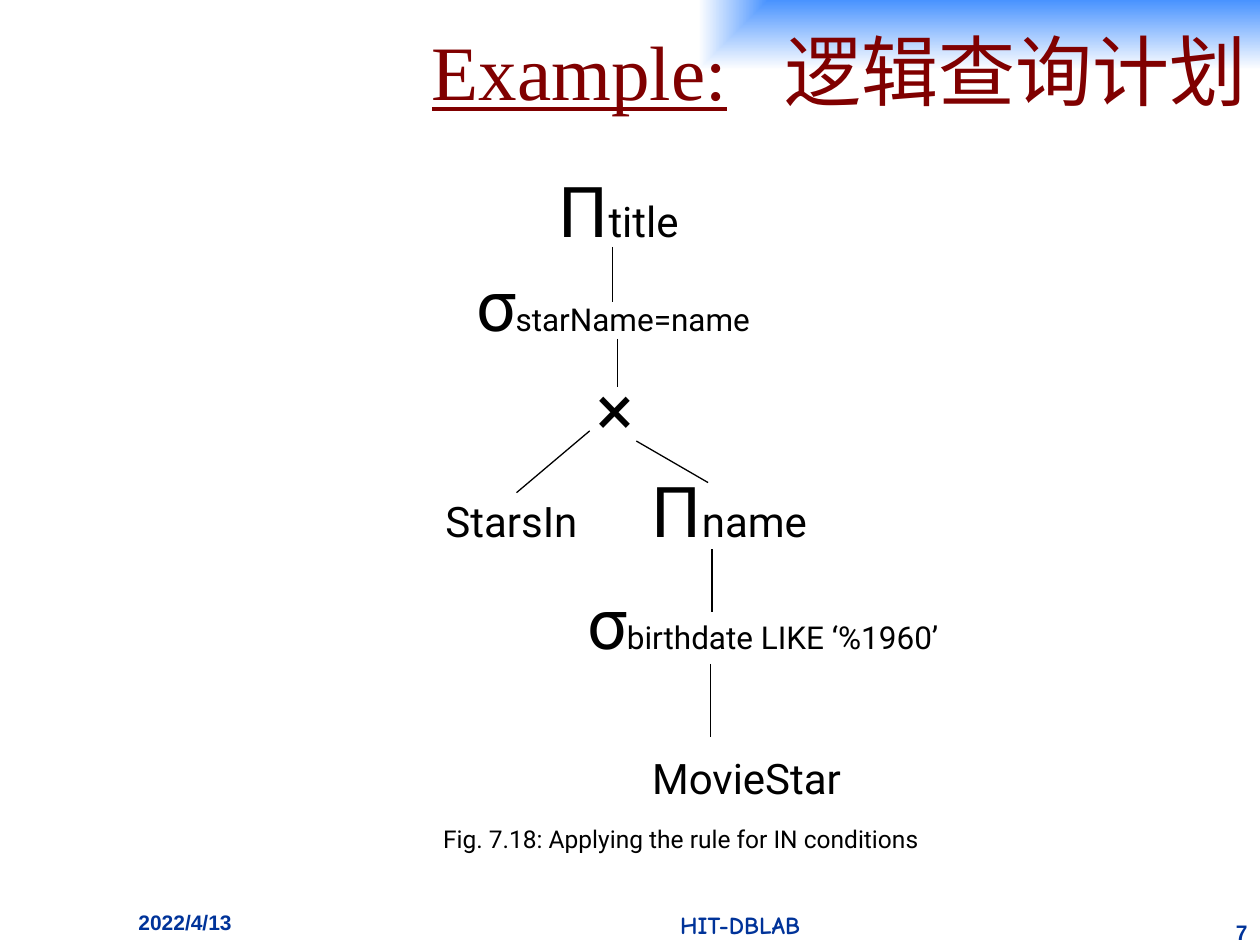
from dataclasses import dataclass

from lxml import etree
from pptx import Presentation
from pptx.dml.color import RGBColor
from pptx.enum import shapes, text
from pptx.oxml import parse_xml
from pptx.oxml.ns import nsdecls, qn
from pptx.util import Inches, Pt

BLACK = RGBColor(0x00, 0x00, 0x00)
NAVY = RGBColor(0x00, 0x33, 0x99)
MAROON = RGBColor(0x80, 0x00, 0x00)
BODY_FONT = "Roboto"
TITLE_FONT = "Times New Roman"
LEFT, CENTER, RIGHT = text.PP_ALIGN.LEFT, text.PP_ALIGN.CENTER, text.PP_ALIGN.RIGHT
TOP, MIDDLE = text.MSO_ANCHOR.TOP, text.MSO_ANCHOR.MIDDLE


@dataclass
class Node:
    left: float
    top: float
    width: float
    height: float
    symbol: str = ""
    label: str = ""
    label_size: int = 24


@dataclass
class Edge:
    x1: float
    y1: float
    x2: float
    y2: float


@dataclass
class Caption:
    left: float
    top: float
    width: float
    height: float
    words: str
    size: int
    font: str
    color: RGBColor = NAVY
    bold: bool = True
    align: text.PP_ALIGN = CENTER
    anchor: text.MSO_ANCHOR = TOP


NODES = [
    Node(4.32, 1.28, 1.18, 0.77, "Π", "title"),
    Node(3.67, 2.02, 2.39, 0.77, "σ", "starName=name", 18),
    Node(4.63, 2.85, 0.51, 0.77, "×"),
    Node(3.26, 3.88, 1.6, 0.5, label="StarsIn"),
    Node(4.89, 3.66, 1.8, 0.77, "Π", "name"),
    Node(4.51, 4.55, 3.09, 0.77, "σ", "birthdate LIKE ‘%1960’", 18),
    Node(5.05, 5.92, 1.75, 0.5, label="MovieStar"),
]

EDGES = [
    Edge(4.86, 1.96, 4.86, 2.4),
    Edge(4.9, 2.69, 4.9, 3.07),
    Edge(4.68, 3.42, 4.1, 3.91),
    Edge(5.05, 3.5, 5.62, 3.83),
    Edge(5.65, 4.36, 5.65, 4.86),
    Edge(5.64, 5.27, 5.64, 5.85),
]

CAPTIONS = [
    Caption(1.8, 6.49, 7.21, 0.33, "Fig. 7.18: Applying the rule for IN conditions",
            14, BODY_FONT, BLACK, False, CENTER, MIDDLE),
    Caption(1, 7.17, 1.75, 0.33, "2022/4/13", 12, "Arial", align=LEFT),
    Caption(3.5, 7.17, 4.75, 0.33, "HIT-DBLAB", 14, "Comic Neue"),
    Caption(9.58, 7.25, 0.42, 0.25, "7", 12, "Arial", align=RIGHT),
]


def add_span(para, words: str, *, size: int, font: str, color: RGBColor,
             bold: bool = False, underline: bool = False, asian: bool = False,
             spacing: int = 0) -> None:
    span = para.add_run()
    span.text = words
    span.font.size = Pt(size)
    span.font.name = font
    span.font.color.rgb = color
    span.font.bold = bold
    span.font.underline = underline
    if asian:
        etree.SubElement(span.font._element, qn("a:ea"), typeface=font)
    if spacing:
        span.font._element.set("spc", str(spacing * 100))


def add_box(page, item, *, wrap: bool, anchor: text.MSO_ANCHOR, align: text.PP_ALIGN):
    box = page.shapes.add_textbox(Inches(item.left), Inches(item.top),
                                  Inches(item.width), Inches(item.height))
    frame = box.text_frame
    frame.word_wrap = wrap
    frame.vertical_anchor = anchor
    para = frame.paragraphs[0]
    para.alignment = align
    return para


def add_node(page, node: Node) -> None:
    para = add_box(page, node, wrap=False, anchor=MIDDLE, align=CENTER)
    for words, size in ((node.symbol, 40), (node.label, node.label_size)):
        if words:
            add_span(para, words, size=size, font=BODY_FONT, color=BLACK)


def add_caption(page, caption: Caption) -> None:
    para = add_box(page, caption, wrap=True, anchor=caption.anchor, align=caption.align)
    add_span(para, caption.words, size=caption.size, font=caption.font,
             color=caption.color, bold=caption.bold)


def add_edge(page, edge: Edge) -> None:
    line = page.shapes.add_connector(shapes.MSO_CONNECTOR.STRAIGHT,
                                     Inches(edge.x1), Inches(edge.y1),
                                     Inches(edge.x2), Inches(edge.y2))
    line.line.color.rgb = BLACK
    line.line.width = Pt(0.75)
    etree.SubElement(line._element.spPr, qn("a:effectLst"))


def format_title(title) -> None:
    title.left, title.top = Inches(1.08), Inches(-0.03)
    title.width, title.height = Inches(8.92), Inches(1.17)
    title._element.spPr.append(parse_xml(
        f'<a:prstGeom {nsdecls("a")} prst="rect"><a:avLst/></a:prstGeom>'))
    title._element.spPr.append(parse_xml(
        f'<a:gradFill {nsdecls("a")} rotWithShape="0"><a:gsLst>'
        '<a:gs pos="0"><a:srgbClr val="3F8DFF"/></a:gs>'
        '<a:gs pos="100000"><a:srgbClr val="FFFFFF"/></a:gs></a:gsLst>'
        '<a:path path="rect"><a:fillToRect l="100000" b="100000"/></a:path>'
        '</a:gradFill>'))
    frame = title.text_frame
    frame.auto_size = text.MSO_AUTO_SIZE.NONE
    frame.word_wrap = True
    frame.vertical_anchor = MIDDLE
    para = frame.paragraphs[0]
    para.alignment = RIGHT
    add_span(para, "Example:", size=44, font=TITLE_FONT, color=MAROON, underline=True)
    add_span(para, " ", size=44, font=TITLE_FONT, color=MAROON, spacing=22)
    add_span(para, "逻辑查询计划", size=44, font="Noto Sans CJK SC", color=MAROON, asian=True)


def main() -> None:
    deck = Presentation()
    deck.slide_width, deck.slide_height = Inches(10), Inches(7.5)
    page = deck.slides.add_slide(deck.slide_layouts[5])
    format_title(page.shapes.title)
    for caption in CAPTIONS:
        add_caption(page, caption)
    for node in NODES:
        add_node(page, node)
    for edge in EDGES:
        add_edge(page, edge)
    deck.save("out.pptx")


if __name__ == "__main__":
    main()
